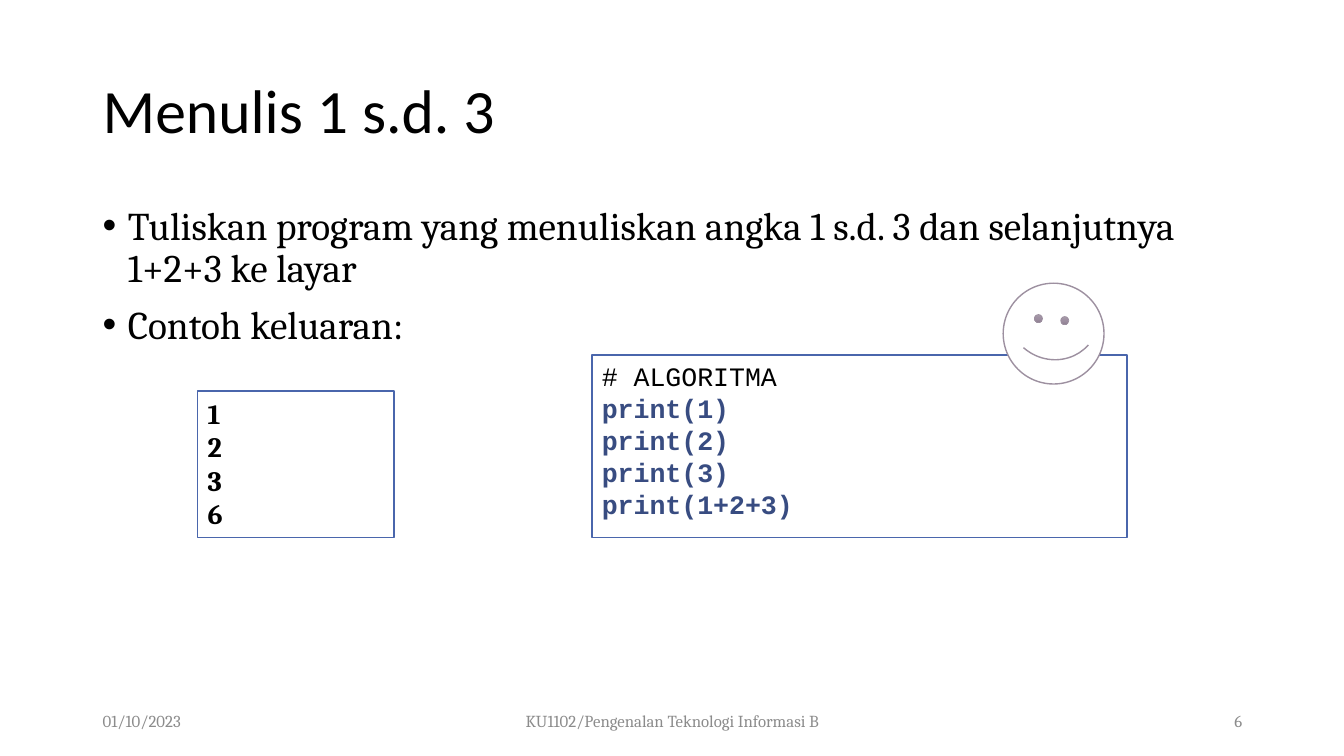
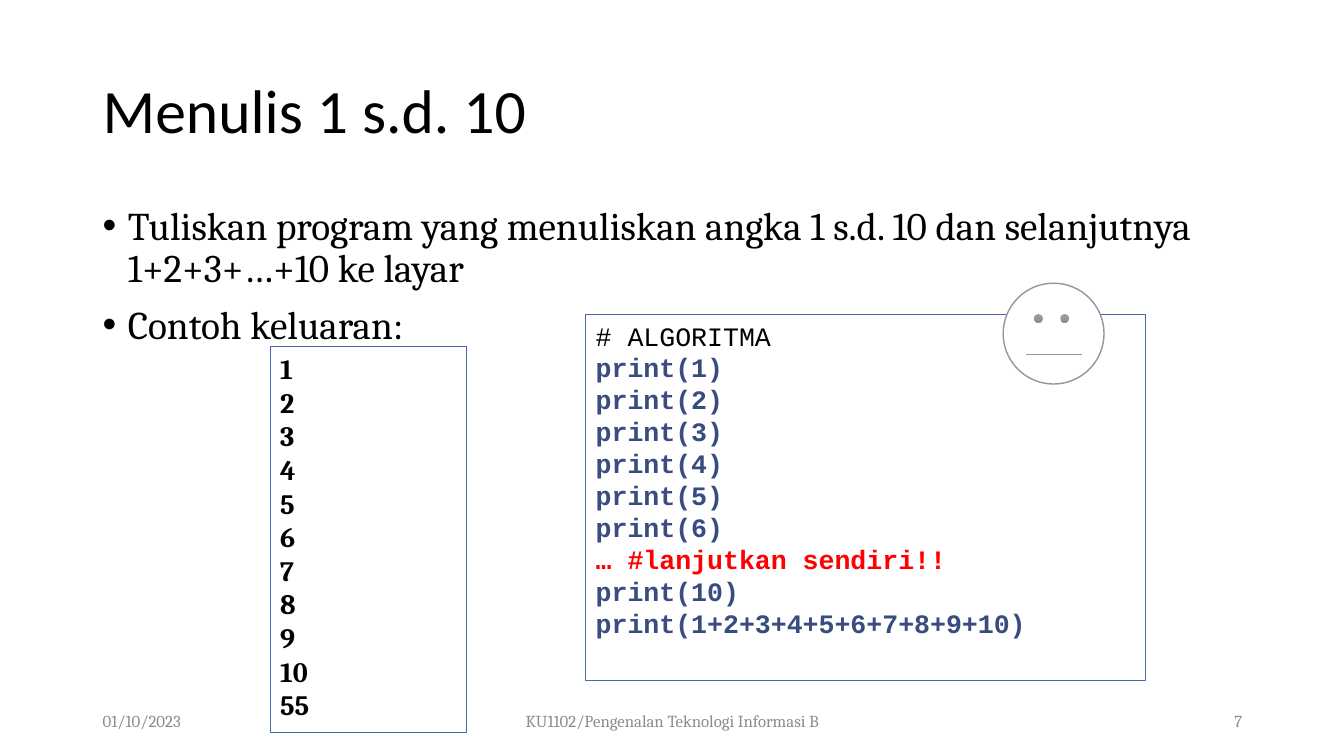
import copy
import pptx
import pptx.dml.color
import pptx.enum.dml
import pptx.enum.shapes
import pptx.enum.text
import pptx.oxml
import pptx.oxml.ns
import pptx.util

Inches = pptx.util.Inches
Pt = pptx.util.Pt
ALIGN = pptx.enum.text.PP_ALIGN
ANCHOR = pptx.enum.text.MSO_ANCHOR
SHAPE = pptx.enum.shapes.MSO_SHAPE

COLORS = {
    "paper": "FFFFFF",
    "ink": "000000",
    "muted": "8C8C8C",
    "frame": "4A66AC",
    "code": "384C81",
    "alert": "FF0000",
    "face": "9D90A0",
    "eye_light": "A89CAA",
    "eye_mid": "9E8FA1",
    "eye_dark": "8D7E90",
}
FONTS = {"title": "Calibri", "body": "Cambria", "code": "Courier New"}
MARGIN, CONTENT_WIDTH = 0.92, 11.5
DATE = "01/10/2023"
COURSE = "KU1102/Pengenalan Teknologi Informasi B"
FACE_BOX = (9.95, 2.81, 1, 1)

EXERCISES = [
    {
        "title": "Menulis 1 s.d. 3",
        "number": 6,
        "task": "Tuliskan program yang menuliskan angka 1 s.d. 3 dan selanjutnya 1+2+3 ke layar",
        "output": [*range(1, 4), 6],
        "output_box": (1.96, 3.88, 1.95, 1.45),
        "code": [f"print({n})" for n in range(1, 4)] + ["print(1+2+3)"],
        "code_box": (5.87, 3.52, 5.31, 1.81),
        "smiling": True,
    },
    {
        "title": "Menulis 1 s.d. 10",
        "number": 7,
        "task": "Tuliskan program yang menuliskan angka 1 s.d. 10 dan selanjutnya 1+2+3+…+10 ke layar",
        "output": [*range(1, 11), 55],
        "output_box": (2.68, 3.44, 1.95, 3.83),
        "code": [f"print({n})" for n in range(1, 7)]
        + ["… #lanjutkan sendiri!!", "print(10)", "print(1+2+3+4+5+6+7+8+9+10)"],
        "code_box": (5.81, 3.12, 5.55, 3.63),
        "smiling": False,
    },
]


def rgb(name):
    return pptx.dml.color.RGBColor.from_string(COLORS[name])


def write_lines(frame, lines, font, size, align=ALIGN.LEFT):
    frame.word_wrap = True
    for index, (text, color, bold) in enumerate(lines):
        paragraph = frame.paragraphs[0] if index == 0 else frame.add_paragraph()
        paragraph.alignment = align
        run = paragraph.add_run()
        run.text = text
        run.font.name = FONTS[font]
        run.font.size = Pt(size)
        run.font.bold = bold
        run.font.color.rgb = rgb(color)


def add_text(slide, box, lines, font, size, anchor=ANCHOR.MIDDLE, align=ALIGN.LEFT):
    frame = slide.shapes.add_textbox(*map(Inches, box)).text_frame
    frame.vertical_anchor = anchor
    write_lines(frame, lines, font, size, align)
    return frame


def add_outlined(slide, kind, box, line, width=1, fill="paper"):
    shape = slide.shapes.add_shape(kind, *map(Inches, box))
    shape.shadow.inherit = False
    shape.line.color.rgb = rgb(line)
    shape.line.width = Pt(width)
    if fill:
        shape.fill.solid()
        shape.fill.fore_color.rgb = rgb(fill)
    else:
        shape.fill.background()
    return shape


def add_title(slide, box, title):
    frame = add_text(slide, box, [(title, "ink", False)], "title", 44)
    frame.paragraphs[0].line_spacing = 0.9


def add_bullets(slide, box, items):
    lines = [(item, "ink", False) for item in items]
    frame = add_text(slide, box, lines, "body", 28, ANCHOR.TOP)
    for paragraph in frame.paragraphs:
        paragraph.line_spacing = 0.9
        paragraph.space_before = Pt(10)
        properties = paragraph._p.get_or_add_pPr()
        properties.set("marL", str(Inches(0.25)))
        properties.set("indent", str(-Inches(0.25)))
        for tag, key, value in (("a:buFont", "typeface", "Arial"), ("a:buChar", "char", "•")):
            bullet = pptx.oxml.parse_xml(f"<{tag} {pptx.oxml.ns.nsdecls('a')}/>")
            bullet.set(key, value)
            properties.append(bullet)


def add_footer(slide, box, number):
    left, top, width, height = box
    side, middle = 3, 4.5
    parts = (
        (left, side, DATE, ALIGN.LEFT),
        (left + (width - middle) / 2, middle, COURSE, ALIGN.CENTER),
        (left + width - side, side, str(number), ALIGN.RIGHT),
    )
    for part_left, part_width, text, align in parts:
        part_box = (part_left, top, part_width, height)
        add_text(slide, part_box, [(text, "muted", False)], "body", 12, align=align)


def add_panel(slide, box, lines, font, size):
    frame = add_outlined(slide, SHAPE.RECTANGLE, box, "frame").text_frame
    frame.vertical_anchor = ANCHOR.TOP
    write_lines(frame, lines, font, size)
    return frame


def add_output(slide, box, values):
    frame = add_panel(slide, box, [(str(value), "ink", True) for value in values], "body", 20)
    frame.auto_size = pptx.enum.text.MSO_AUTO_SIZE.SHAPE_TO_FIT_TEXT


def add_code(slide, box, statements):
    lines = [("# ALGORITMA", "ink", False)]
    lines += [(text, "alert" if text.startswith("…") else "code", True) for text in statements]
    add_panel(slide, box, lines, "code", 19)


def add_eye(slide, box):
    eye = add_outlined(slide, SHAPE.OVAL, box, "face", 0.5)
    eye.fill.gradient()
    eye.fill.gradient_angle = 270
    stop_list = eye._element.spPr.find(".//" + pptx.oxml.ns.qn("a:gsLst"))
    stop_list.insert(1, copy.deepcopy(stop_list[0]))
    shades = ((0, "eye_light"), (0.5, "eye_mid"), (1, "eye_dark"))
    for stop, (position, shade) in zip(eye.fill.gradient_stops, shades):
        stop.position = position
        stop.color.rgb = rgb(shade)


def add_face(slide, box, smiling):
    left, top = box[:2]
    add_outlined(slide, SHAPE.OVAL, box, "face")
    if smiling:
        smile = add_outlined(slide, SHAPE.ARC, (left + 0.05, top - 0.16, 0.89, 0.93), "face", fill=None)
        smile.rotation = 131.4
    for across, down in ((0.31, 0.31), (0.57, 0.33 if smiling else 0.31)):
        add_eye(slide, (left + across, top + down, 0.08, 0.08))
    if not smiling:
        ends = (left + 0.23, top + 0.71, left + 0.78, top + 0.71)
        straight = pptx.enum.shapes.MSO_CONNECTOR.STRAIGHT
        mouth = slide.shapes.add_connector(straight, *map(Inches, ends))
        mouth.line.color.rgb = rgb("face")
        mouth.line.width = Pt(1)
        effects = pptx.oxml.parse_xml(f"<a:effectLst {pptx.oxml.ns.nsdecls('a')}/>")
        mouth._element.spPr.append(effects)


def add_exercise(deck, exercise):
    slide = deck.slides.add_slide(deck.slide_layouts[6])
    slide.background.fill.solid()
    slide.background.fill.fore_color.rgb = rgb("paper")
    add_title(slide, (MARGIN, 0.4, CONTENT_WIDTH, 1.45), exercise["title"])
    add_bullets(slide, (MARGIN, 2, CONTENT_WIDTH, 4.76), [exercise["task"], "Contoh keluaran:"])
    add_footer(slide, (MARGIN, 6.95, CONTENT_WIDTH, 0.4), exercise["number"])
    add_output(slide, exercise["output_box"], exercise["output"])
    add_code(slide, exercise["code_box"], exercise["code"])
    add_face(slide, FACE_BOX, exercise["smiling"])


def main():
    deck = pptx.Presentation()
    deck.slide_width = Inches(13.33)
    deck.slide_height = Inches(7.5)
    for exercise in EXERCISES:
        add_exercise(deck, exercise)
    deck.save("out.pptx")


if __name__ == "__main__":
    main()
